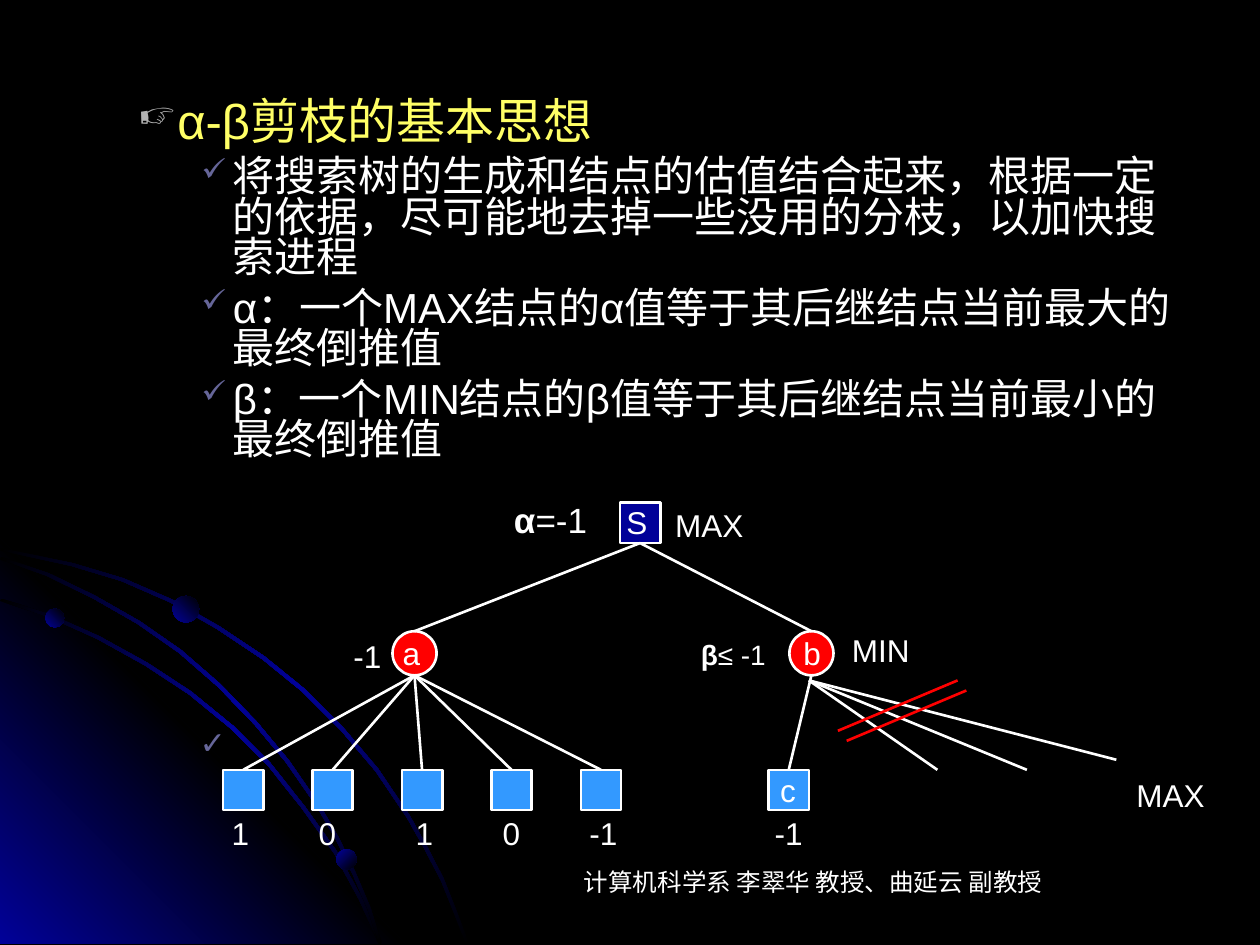
import pptx
import pptx.util
import pptx.dml.color
import pptx.enum.shapes
import pptx.enum.text
import pptx.oxml
import pptx.oxml.ns
import lxml.etree

W, H = 10, 7.5
WHITE, BLACK, NAVY, RED, SKY = "FFFFFF", "000000", "010199", "FF0000", "3399FF"
MUTED = "666699"
SHAPES = pptx.enum.shapes.MSO_SHAPE
ALIGN = pptx.enum.text.PP_ALIGN

BULLETS = [
    ("α-β剪枝的基本思想", 0, 28, "FFFF66", "☞", "B2B2B2", 0.81, 0.31),
] + [(text, 1, 24, WHITE, "✓", MUTED, 1.25, 0.25) for text in (
    "将搜索树的生成和结点的估值结合起来，根据一定的依据，尽可能地去掉一些没用的分枝，以加快搜索进程",
    "α：一个MAX结点的α值等于其后继结点当前最大的最终倒推值",
    "β：一个MIN结点的β值等于其后继结点当前最小的最终倒推值",
)]

ARCS = [
    [(0, 4.36), (0.57, 4.48), (0.97, 4.6), (1.36, 4.77), (1.73, 4.98), (2.09, 5.22),
     (2.41, 5.48), (2.71, 5.78), (2.99, 6.11), (3.24, 6.48), (3.38, 6.73),
     (3.51, 6.98), (3.61, 7.23), (3.71, 7.49)],
    [(0, 4.76), (0.4, 4.89), (0.78, 5.06), (1.16, 5.27), (1.51, 5.5), (1.84, 5.77),
     (2.14, 6.07), (2.41, 6.41), (2.66, 6.76), (2.86, 7.13), (3.02, 7.49)],
    [(0, 4.43), (0.38, 4.56), (0.75, 4.74), (1.1, 4.94), (1.43, 5.17), (1.74, 5.44),
     (2.03, 5.74), (2.28, 6.04), (2.53, 6.4), (2.68, 6.66), (2.81, 6.93),
     (2.93, 7.21), (3.02, 7.49)],
]
CORNER = [(0, 4.27), (3.22, 7.49), (0, 7.49)]
DOTS = [(0.36, 4.83, 0.15, 315), (2.67, 6.74, 0.16, 45), (1.37, 4.73, 0.21, 315)]

BOX, DISC = 0.32, 0.35
ROOT, NODE_A, NODE_B = (5.08, 3.99), (3.29, 5.01), (6.44, 5.01)
LEAF_Y = 6.11
LEAVES_A = [1.93 + 0.71 * i for i in range(5)]
LEAF_C = 6.26
PRUNED = [(7.44, 6.11), (8.15, 6.11), (8.86, 6.03)]
CUTS = [((6.65, 5.8), (7.6, 5.4)), ((6.72, 5.88), (7.67, 5.48))]
LEAF_VALUES = [("1", 0.28), ("0", 0.97), ("1", 1.74), ("0", 2.43), ("-1", 3.16), ("-1", 4.63)]
LABELS = [
    ("S", 4.74, 3.94, 0.63), ("a", 2.95, 4.98, 0.63), ("b", 6.13, 4.98, 0.63),
    ("c", 5.94, 6.07, 0.63), ("MAX", 5.08, 3.97, 1.1), ("MAX", 8.74, 6.11, 1.1),
    ("MIN", 6.44, 4.96, 1.1), ("-1", 2.64, 5.01, 0.55),
]
BOUNDS = [("α", "=-1", 3.9, 3.91, 0.94, 20), ("β", "≤ -1", 5.31, 5.01, 1.02, 16)]

inch = pptx.util.Inches
prs = pptx.Presentation()
prs.slide_width, prs.slide_height = inch(W), inch(H)
s = prs.slides.add_slide(prs.slide_layouts[6])


def color(value):
    return pptx.dml.color.RGBColor.from_string(value)


def element(parent, tag, **attrs):
    return lxml.etree.SubElement(parent, pptx.oxml.ns.qn("a:" + tag), **attrs)


def gradient(sp, colors, angle):
    sp.shadow.inherit = False
    sp.line.fill.background()
    sp.fill.gradient()
    grad = sp._element.spPr.find(pptx.oxml.ns.qn("a:gradFill"))
    for child in list(grad):
        grad.remove(child)
    stops = element(grad, "gsLst")
    for i, value in enumerate(colors):
        stop = element(stops, "gs", pos=str(100000 * i // (len(colors) - 1)))
        element(stop, "srgbClr", val=value)
    element(grad, "lin", ang=str(angle * 60000), scaled="1")


def polygon(points, colors, angle):
    pts = [(inch(max(x, 0)), inch(min(y, H))) for x, y in points]
    builder = s.shapes.build_freeform(*pts[0])
    builder.add_line_segments(pts[1:], close=True)
    gradient(builder.convert_to_shape(), colors, angle)


def node(kind, center, top, size, fill):
    sp = s.shapes.add_shape(kind, inch(center - size / 2), inch(top), inch(size), inch(size))
    sp.shadow.inherit = False
    sp.fill.solid()
    sp.fill.fore_color.rgb = color(fill)
    sp.line.color.rgb = color(WHITE)
    sp.line.width = pptx.util.Pt(1.5)


def line(start, end, stroke=WHITE):
    sp = s.shapes.add_connector(pptx.enum.shapes.MSO_CONNECTOR.STRAIGHT,
                                *(inch(v) for v in (*start, *end)))
    sp.line.color.rgb = color(stroke)
    sp.line.width = pptx.util.Pt(1.5)
    element(sp._element.spPr, "effectLst")


def textbox(x, y, w, h):
    tf = s.shapes.add_textbox(inch(x), inch(y), inch(w), inch(h)).text_frame
    tf.word_wrap = True
    return tf


def style(p, size, fill=WHITE, name="Arial"):
    p.font.size = pptx.util.Pt(size)
    p.font.name = name
    p.font.color.rgb = color(fill)


def label(text, x, y, w, size=18, fill=WHITE, name="Arial", h=0.4):
    p = textbox(x, y, w, h).paragraphs[0]
    p.text = text
    p.alignment = ALIGN.CENTER
    style(p, size, fill, name)


s.background.fill.solid()
s.background.fill.fore_color.rgb = color(BLACK)
polygon(CORNER, [NAVY, BLACK, NAVY], 315)
for arc in ARCS:
    outer = [(x + 0.01, y - 0.01) for x, y in arc]
    inner = [(x - 0.01, y + 0.01) for x, y in reversed(arc)]
    polygon(outer + inner, [BLACK, NAVY, BLACK], 45)
for x, y, size, angle in DOTS:
    dot = s.shapes.add_shape(SHAPES.OVAL, inch(x), inch(y), inch(size), inch(size))
    gradient(dot, [NAVY, BLACK], angle)

label("计算机科学系 李翠华 教授、曲延云 副教授", 3.42, 6.83, 6.07, 14, name="Times New Roman", h=0.5)

tf = textbox(0.5, 0.76, 9, 3.1)
for i, (text, level, size, fill, mark, mark_fill, margin, hang) in enumerate(BULLETS):
    p = tf.add_paragraph() if i else tf.paragraphs[0]
    p.text = text
    p.level = level
    p.line_spacing = 0.8
    if i:
        p.space_before = pptx.util.Pt(6)
    ppr = p._p.get_or_add_pPr()
    ppr.set("marL", str(inch(margin)))
    ppr.set("indent", str(-inch(hang)))
    element(element(ppr, "buClr"), "srgbClr", val=mark_fill)
    element(ppr, "buSzPct", val="75000")
    element(ppr, "buChar", char=mark)
    style(p, size, fill)
label("✓", 1.44, 5.69, 0.5, fill=MUTED)

node(SHAPES.RECTANGLE, *ROOT, BOX, NAVY)
for center in (NODE_A, NODE_B):
    node(SHAPES.OVAL, *center, DISC, RED)
for x in LEAVES_A + [LEAF_C]:
    node(SHAPES.RECTANGLE, x, LEAF_Y, BOX, SKY)

for x, y in (NODE_A, NODE_B):
    line((ROOT[0], ROOT[1] + BOX), (x, y))
for (x, y), leaves in ((NODE_A, LEAVES_A), (NODE_B, [LEAF_C])):
    for leaf in leaves:
        line((x, y + DISC), (leaf, LEAF_Y))
for end in PRUNED:
    line((6.42, 5.4), end)

for item in LABELS:
    label(*item)

p = textbox(1.53, 6.41, 7.88, 0.4).paragraphs[0]
p.text = "".join("\t" + value for value, _ in LEAF_VALUES)
tabs = element(p._p.get_or_add_pPr(), "tabLst")
for _, position in LEAF_VALUES:
    element(tabs, "tab", pos=str(inch(position)), algn="ctr")
style(p, 18)

for symbol, rest, x, y, w, size in BOUNDS:
    p = textbox(x, y, w, 0.4).paragraphs[0]
    p.alignment = ALIGN.CENTER
    style(p, size)
    for text, bold in ((symbol, True), (rest, False)):
        r = p.add_run()
        r.text = text
        r.font.bold = bold

for start, end in CUTS:
    line(start, end, RED)

prs.save("out.pptx")
